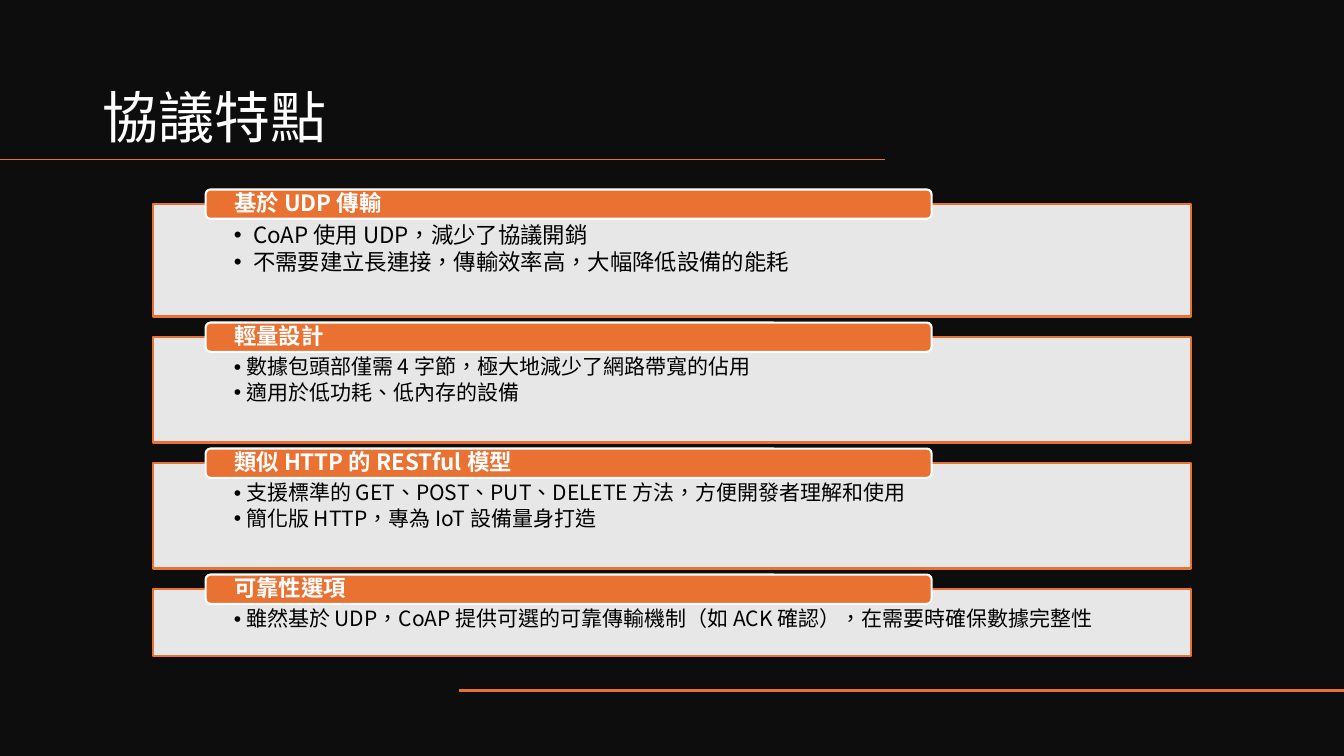
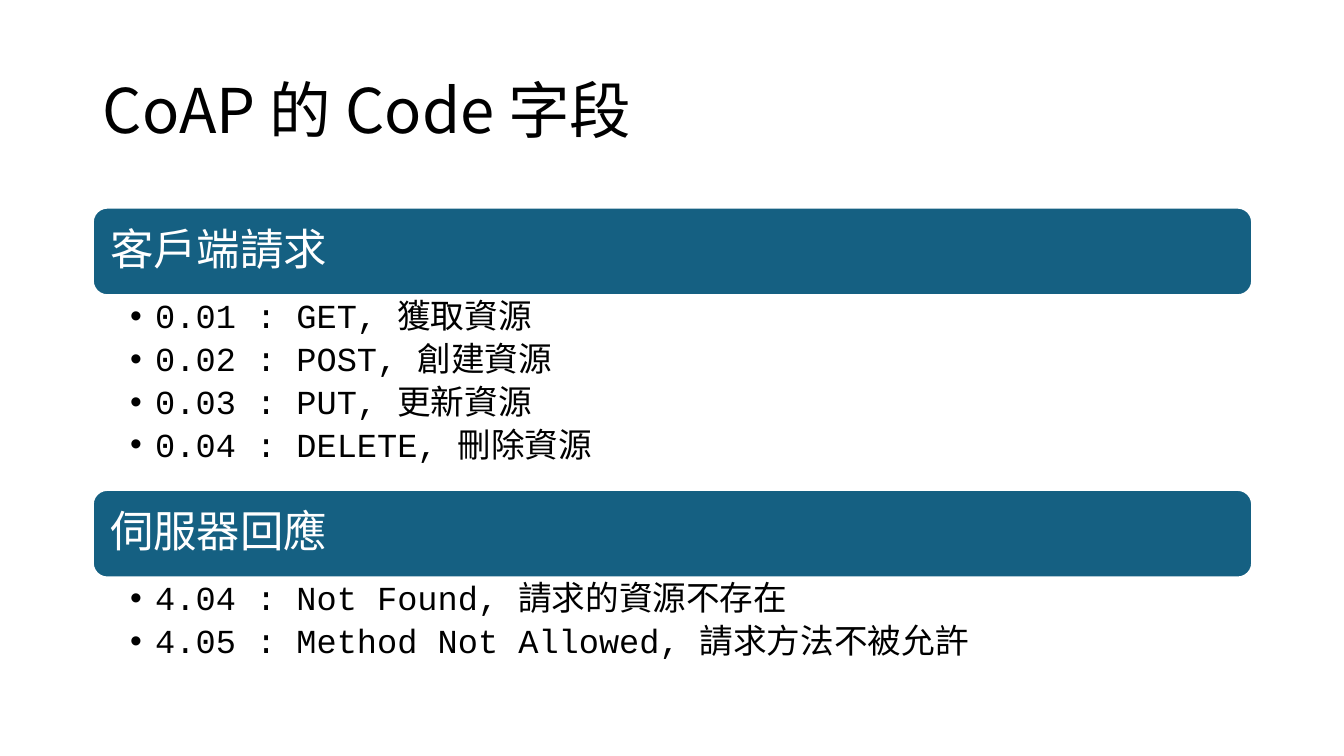
from lxml.etree import SubElement
from pptx import Presentation
from pptx.dml.color import RGBColor
from pptx.enum.lang import MSO_LANGUAGE_ID as Language
from pptx.enum.shapes import MSO_CONNECTOR as Connector, MSO_SHAPE as Shape
from pptx.enum.text import MSO_ANCHOR as Anchor, MSO_AUTO_SIZE as AutoSize, PP_ALIGN as Align
from pptx.oxml.ns import qn
from pptx.util import Inches, Pt

BLACK = RGBColor(0x00, 0x00, 0x00)
NIGHT = RGBColor(0x0D, 0x0D, 0x0D)
WHITE = RGBColor(0xFF, 0xFF, 0xFF)
ORANGE = RGBColor(0xE9, 0x71, 0x32)
TEAL = RGBColor(0x15, 0x60, 0x82)
SANS = "Noto Sans CJK SC"
MONO = "Courier New"
TITLE_ONLY = 5

FEATURES = [
    ("基於 UDP 傳輸", 1.12, 16, 0.19,
     ["CoAP 使用 UDP，減少了協議開銷", "不需要建立長連接，傳輸效率高，大幅降低設備的能耗"]),
    ("輕量設計", 1.05, 15, 0.12,
     ["數據包頭部僅需 4 字節，極大地減少了網路帶寬的佔用", "適用於低功耗、低內存的設備"]),
    ("類似 HTTP 的 RESTful 模型", 1.05, 15, 0.12,
     ["支援標準的 GET、POST、PUT、DELETE 方法，方便開發者理解和使用",
      "簡化版 HTTP，專為 IoT 設備量身打造"]),
    ("可靠性選項", 0.67, 15, 0.12,
     ["雖然基於 UDP，CoAP 提供可選的可靠傳輸機制（如 ACK 確認），在需要時確保數據完整性"]),
]
CODES = [
    ("客戶端請求", 1.93,
     ["0.01 : GET, 獲取資源", "0.02 : POST, 創建資源",
      "0.03 : PUT, 更新資源", "0.04 : DELETE, 刪除資源"]),
    ("伺服器回應", 0.96,
     ["4.04 : Not Found, 請求的資源不存在", "4.05 : Method Not Allowed, 請求方法不被允許"]),
]


def add_bullet(paragraph, indent):
    properties = paragraph._p.get_or_add_pPr()
    properties.set("marL", str(Inches(indent)))
    properties.set("indent", str(-Inches(indent)))
    SubElement(properties, qn("a:buFont"), typeface="Arial")
    SubElement(properties, qn("a:buChar"), char="•")


def write(shape, lines, size, color=BLACK, font=SANS, bold=False, anchor=Anchor.TOP,
          insets=(0.1, 0.05, 0.1, 0.05), indent=None, after=0):
    frame = shape.text_frame
    frame.word_wrap = True
    frame.auto_size = AutoSize.NONE
    frame.vertical_anchor = anchor
    (frame.margin_left, frame.margin_top,
     frame.margin_right, frame.margin_bottom) = map(Inches, insets)
    for number, line in enumerate(lines):
        paragraph = frame.add_paragraph() if number else frame.paragraphs[0]
        if indent:
            add_bullet(paragraph, indent)
        paragraph.alignment = Align.LEFT
        paragraph.line_spacing = 0.9
        paragraph.space_after = Pt(size * after)
        run = paragraph.add_run()
        run.text = line
        run.font.size = Pt(size)
        run.font.bold = bold
        run.font.color.rgb = color
        run.font.name = font
        run.font.language_id = Language.TRADITIONAL_CHINESE
        SubElement(run._r.get_or_add_rPr(), qn("a:ea"), typeface=SANS)


class Deck:
    def __init__(self):
        self.presentation = Presentation()
        self.presentation.slide_width = Inches(13.33)
        self.presentation.slide_height = Inches(7.5)
        self.slide = None

    def start(self, background):
        layout = self.presentation.slide_layouts[TITLE_ONLY]
        self.slide = self.presentation.slides.add_slide(layout)
        fill = self.slide.background.fill
        fill.solid()
        fill.fore_color.rgb = background

    def title(self, text, box, **style):
        title = self.slide.shapes.title
        title.left, title.top, title.width, title.height = map(Inches, box)
        write(title, [text], **style)

    def rule(self, start, end, y, width):
        line = self.slide.shapes.add_connector(
            Connector.STRAIGHT, Inches(start), Inches(y), Inches(end), Inches(y))
        line.line.color.rgb = ORANGE
        line.line.width = Pt(width)
        SubElement(line._element.spPr, qn("a:effectLst"))

    def panel(self, kind, box, fill, outline, lines, alpha=None, **style):
        shape = self.slide.shapes.add_shape(kind, *map(Inches, box))
        shape.shadow.inherit = False
        shape.fill.solid()
        shape.fill.fore_color.rgb = fill
        if alpha:
            color = shape._element.spPr.find(qn("a:solidFill"))[0]
            SubElement(color, qn("a:alpha"), val=str(alpha * 1000))
        shape.line.color.rgb = outline
        shape.line.width = Pt(1.5)
        write(shape, lines, **style)

    def text_box(self, box, lines, **style):
        write(self.slide.shapes.add_textbox(*map(Inches, box)), lines, **style)


def build_features(deck):
    deck.start(NIGHT)
    deck.title("協議特點", (0.92, 0.42, 7.86, 1.12), size=40, color=WHITE, anchor=Anchor.BOTTOM)
    deck.rule(8.78, 0, 1.58, 1)
    deck.rule(13.33, 4.55, 6.85, 1.5)
    top = 2.02
    for heading, height, size, indent, points in FEATURES:
        deck.panel(Shape.RECTANGLE, (1.52, top, 10.29, height), WHITE, ORANGE, points, alpha=90,
                   size=size, insets=(0.8, 0.2, 0.8, 0.12), indent=indent, after=0.15)
        deck.panel(Shape.ROUNDED_RECTANGLE, (2.04, top - 0.14, 7.2, 0.29), ORANGE, WHITE,
                   [heading], size=16, color=WHITE, bold=True, anchor=Anchor.MIDDLE,
                   insets=(0.27, 0, 0.27, 0))
        top += height + 0.2


def build_codes(deck):
    deck.start(WHITE)
    deck.title("CoAP 的 Code 字段", (0.92, 0.4, 11.5, 1.45), size=44, anchor=Anchor.MIDDLE)
    left, top, width, band = 0.92, 2.06, 11.5, 0.87
    for heading, height, codes in CODES:
        deck.panel(Shape.ROUNDED_RECTANGLE, (left, top, width, band), TEAL, WHITE, [heading],
                   size=31, color=WHITE, font=MONO, anchor=Anchor.MIDDLE, insets=(0.13,) * 4)
        deck.text_box((left, top + band, width, height), codes, size=24, font=MONO,
                      insets=(0.37, 0.04, 0.24, 0.04), indent=0.25, after=0.2)
        top += band + height


def main():
    deck = Deck()
    build_features(deck)
    build_codes(deck)
    deck.presentation.save("out.pptx")


if __name__ == "__main__":
    main()
